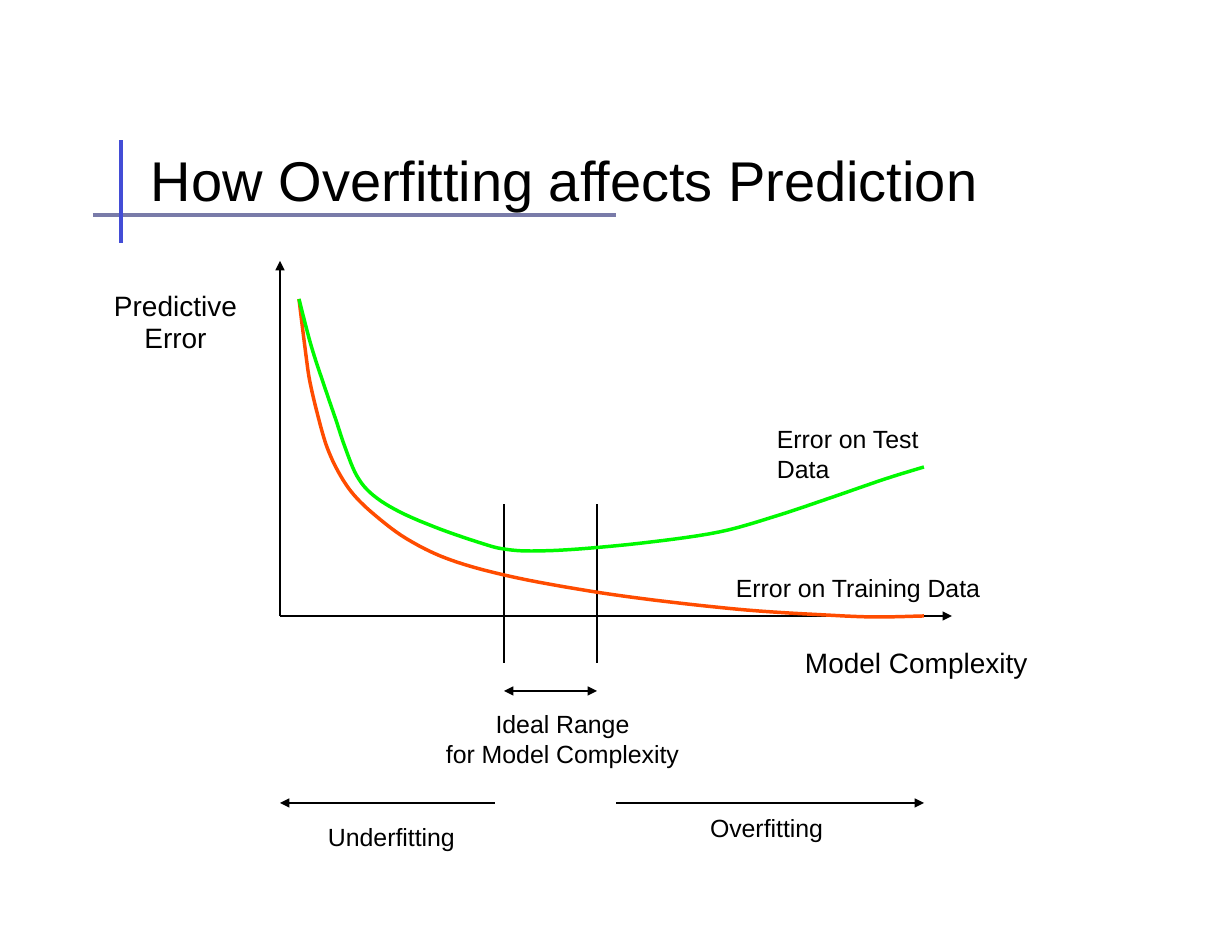
from dataclasses import dataclass

from pptx import Presentation
from pptx.dml.color import RGBColor
from pptx.enum.shapes import MSO_CONNECTOR
from pptx.enum.text import PP_ALIGN
from pptx.oxml.ns import qn
from pptx.util import Pt
from lxml.etree import SubElement

PX = 914400 / 112


@dataclass(frozen=True)
class Theme:
    font: str = "Arial"
    ink: str = "000000"
    rule: str = "797BA9"
    bar: str = "434DD6"
    train: str = "FF4C00"
    test: str = "00F900"
    title: int = 36
    axis: int = 18
    label: int = 16
    thin: float = 0.75
    curve: float = 2.25
    thick: float = 3


T = Theme()
LEFT, CENTER = PP_ALIGN.LEFT, PP_ALIGN.CENTER

LINES = [
    ((93, 215), (616, 215), T.rule, T.thick, ""),
    ((121, 243), (121, 140), T.bar, T.thick, ""),
    ((280, 616), (280, 261), T.ink, T.thin, "tail"),
    ((280, 616), (952, 616), T.ink, T.thin, "tail"),
    ((504, 504), (504, 663), T.ink, T.thin, ""),
    ((597, 504), (597, 663), T.ink, T.thin, ""),
    ((504, 691), (597, 691), T.ink, T.thin, "head tail"),
    ((616, 803), (924, 803), T.ink, T.thin, "tail"),
    ((495, 803), (280, 803), T.ink, T.thin, "tail"),
]

CURVES = [
    (T.train, [(299, 299), (306, 355), (310, 382), (318, 416), (327, 447),
               (339, 473), (354, 495), (376, 516), (407, 539), (448, 559),
               (504, 575), (577, 589), (653, 600), (746, 610), (825, 615),
               (875, 617), (924, 616)]),
    (T.test, [(299, 299), (311, 345), (323, 382), (336, 420), (345, 447),
              (357, 476), (373, 495), (400, 512), (440, 529), (484, 544),
              (504, 549), (531, 551), (579, 549), (651, 542), (719, 532),
              (773, 517), (830, 498), (885, 479), (924, 467)]),
]

TEXTS = [
    (["How Overfitting affects Prediction"], (151, 146, 933, 63), T.title, LEFT, None),
    (["Predictive Error"], (112, 289, 127, 64), T.axis, CENTER, 21),
    (["Model Complexity"], (805, 646, 226, 31), T.axis, LEFT, None),
    (["Error on Training Data"], (736, 573, 248, 28), T.label, LEFT, None),
    (["Error on Test Data"], (777, 424, 180, 58), T.label, LEFT, None),
    (["Ideal Range", "for Model Complexity"], (444, 709, 237, 57), T.label, CENTER, 19.1),
    (["Overfitting"], (710, 813, 117, 28), T.label, LEFT, None),
    (["Underfitting"], (328, 822, 130, 28), T.label, LEFT, None),
]


def emu(*values):
    return [round(v * PX) for v in values]


def add_line(s, start, end, color, width, arrows):
    c = s.shapes.add_connector(MSO_CONNECTOR.STRAIGHT, *emu(*start, *end))
    c.line.color.rgb = RGBColor.from_string(color)
    c.line.width = Pt(width)
    ln = c.line._get_or_add_ln()
    for side in arrows.split():
        SubElement(ln, qn(f"a:{side}End"), type="triangle", w="med", len="med")
    SubElement(c._element.spPr, qn("a:effectLst"))


def spline(knots, steps=6):
    padded = [knots[0], *knots, knots[-1]]
    points = [knots[0]]
    for quad in zip(padded, padded[1:], padded[2:], padded[3:]):
        for i in range(1, steps + 1):
            t = i / steps
            points.append(tuple(
                b + t * (c - a) / 2
                + t**2 * (2 * a - 5 * b + 4 * c - d) / 2
                + t**3 * (3 * b - a - 3 * c + d) / 2
                for a, b, c, d in zip(*quad)))
    return points


def add_curve(s, color, knots):
    start, *rest = [emu(*point) for point in spline(knots)]
    builder = s.shapes.build_freeform(*start)
    builder.add_line_segments(rest, close=False)
    sp = builder.convert_to_shape()
    sp.shadow.inherit = False
    sp.fill.background()
    sp.line.color.rgb = RGBColor.from_string(color)
    sp.line.width = Pt(T.curve)


def add_text(s, lines, box, size, align, spacing):
    tf = s.shapes.add_textbox(*emu(*box)).text_frame
    tf.word_wrap = True
    tf.margin_left = tf.margin_top = tf.margin_right = tf.margin_bottom = 0
    tf.text = "\n".join(lines)
    for p in tf.paragraphs:
        p.alignment = align
        p.font.name = T.font
        p.font.size = Pt(size)
        p.font.color.rgb = RGBColor.from_string(T.ink)
        if spacing:
            p.line_spacing = Pt(spacing)


def main():
    prs = Presentation()
    prs.slide_width, prs.slide_height = emu(1232, 952)
    s = prs.slides.add_slide(prs.slide_layouts[6])
    for line in LINES:
        add_line(s, *line)
    for curve in CURVES:
        add_curve(s, *curve)
    for text in TEXTS:
        add_text(s, *text)
    prs.save("out.pptx")


if __name__ == "__main__":
    main()
